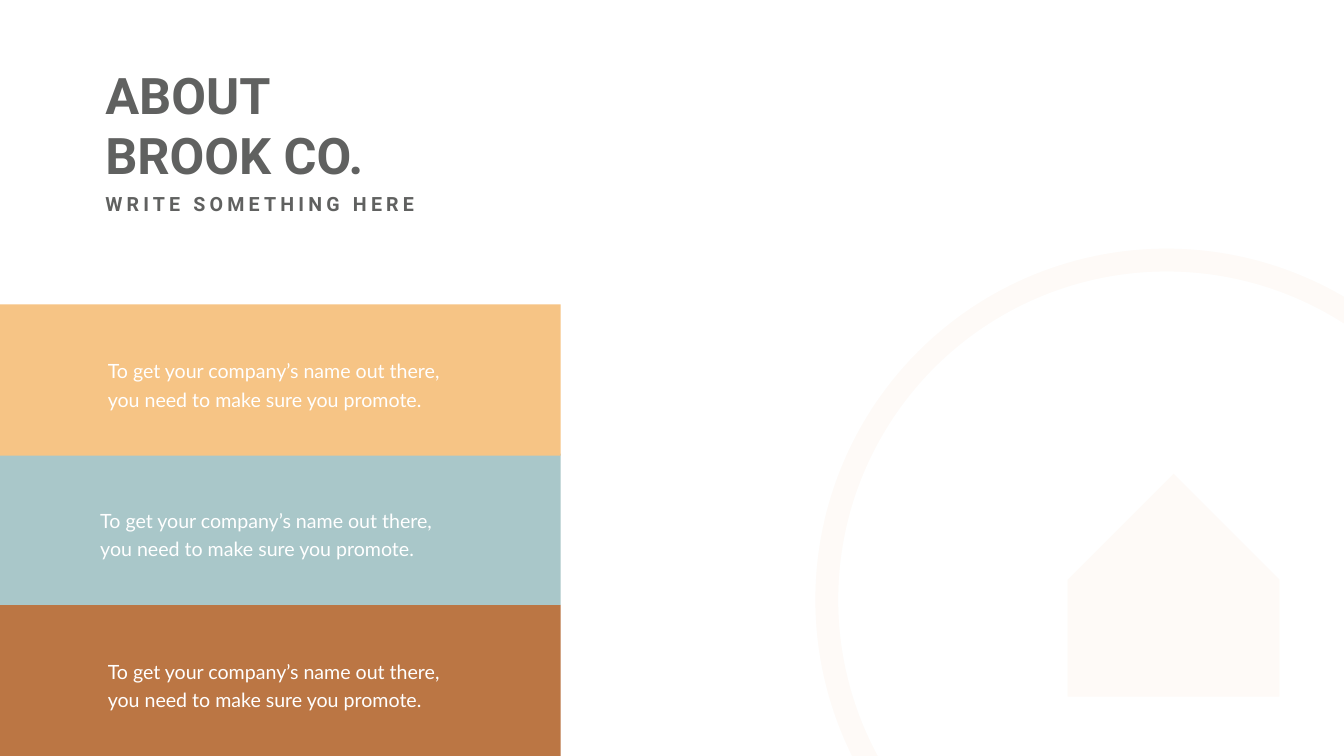
from dataclasses import dataclass

from lxml import etree
from pptx import Presentation
from pptx.dml.color import RGBColor
from pptx.enum.shapes import MSO_SHAPE
from pptx.oxml.ns import qn
from pptx.util import Inches, Pt

RECT = MSO_SHAPE.RECTANGLE
OVAL = MSO_SHAPE.OVAL
HOUSE = MSO_SHAPE.PENTAGON

# Grid of one-inch cells
COLS, ROWS = 26.66, 15
BAND_W, BAND_H = 11.12, ROWS / 5


@dataclass(frozen=True)
class Theme:
    ink: str = "606160"
    white: str = "FFFFFF"
    tint: str = "F4893A"
    sand: str = "F6C485"
    mist: str = "A9C7C9"
    clay: str = "BB7644"
    head: str = "Roboto"
    body: str = "Lato"
    title: float = 72
    text: float = 28
    lead: float = 40.8
    ring: float = 32.5
    fade: int = 4


THEME = Theme()


def cells(*spans):
    return [Inches(span) for span in spans]


def paint(fill, color, alpha=100):
    """Fill with a solid colour; alpha is the opacity in percent."""
    fill.solid()
    fill.fore_color.rgb = RGBColor.from_string(color)
    if alpha < 100:
        tone = fill._xPr.find(qn("a:solidFill"))[0]
        etree.SubElement(tone, qn("a:alpha"), val=str(alpha * 1000))


def add_form(slide, kind, box):
    form = slide.shapes.add_shape(kind, *cells(*box))
    form.shadow.inherit = False
    form.fill.background()
    form.line.fill.background()
    return form


def add_mark(slide):
    """Pale house inside a ring that runs past the slide's edge."""
    house = add_form(slide, HOUSE, (21.07, 9.51, 4.42, 4.2))
    house.rotation = 270
    paint(house.fill, THEME.tint, THEME.fade)
    ring = add_form(slide, OVAL, (16.4, 5.16, 13.48, 13.48))
    paint(ring.line.fill, THEME.tint, THEME.fade)
    ring.line.width = Pt(THEME.ring)


def add_text(slide, box, lines, face, size, color, bold=False, lead=None, gap=0):
    """Write one paragraph a line; lead is line height, gap letter spacing."""
    frame = slide.shapes.add_textbox(*cells(*box)).text_frame
    frame.word_wrap = True
    for i, line in enumerate(lines):
        para = frame.paragraphs[0] if i == 0 else frame.add_paragraph()
        if lead:
            para.line_spacing = Pt(lead)
        run = para.add_run()
        run.text = line
        font = run.font
        font.name, font.size, font.bold = face, Pt(size), bold
        font.color.rgb = RGBColor.from_string(color)
        if gap:
            font._element.set("spc", str(gap * 100))


def add_head(slide):
    add_text(slide, (1.99, 1.22, 5.47, 2.52), ["ABOUT", "BROOK CO."],
             THEME.head, THEME.title, THEME.ink, bold=True)
    add_text(slide, (1.99, 3.76, 6.41, 0.57), ["WRITE SOMETHING HERE"],
             THEME.head, THEME.text, THEME.ink, bold=True, gap=6)


def add_band(slide, top, color, left, drop):
    """Colour band with its note, set in by left and drop."""
    band = add_form(slide, RECT, (0, top, BAND_W, BAND_H))
    paint(band.fill, color)
    add_text(slide, (left, top + drop, 7.8, 1.21),
             ["To get your company’s name out there,",
              "you need to make sure you promote."],
             THEME.body, THEME.text, THEME.white, lead=THEME.lead)


def main():
    deck = Presentation()
    deck.slide_width, deck.slide_height = cells(COLS, ROWS)
    slide = deck.slides.add_slide(deck.slide_layouts[6])
    paint(slide.background.fill, THEME.white)
    add_mark(slide)
    add_head(slide)
    add_band(slide, 4 * BAND_H, THEME.clay, 2.04, 0.94)
    add_band(slide, 3 * BAND_H, THEME.mist, 1.89, 0.94)
    add_band(slide, 2 * BAND_H + 0.04, THEME.sand, 2.04, 0.94)
    deck.save("out.pptx")


if __name__ == "__main__":
    main()
